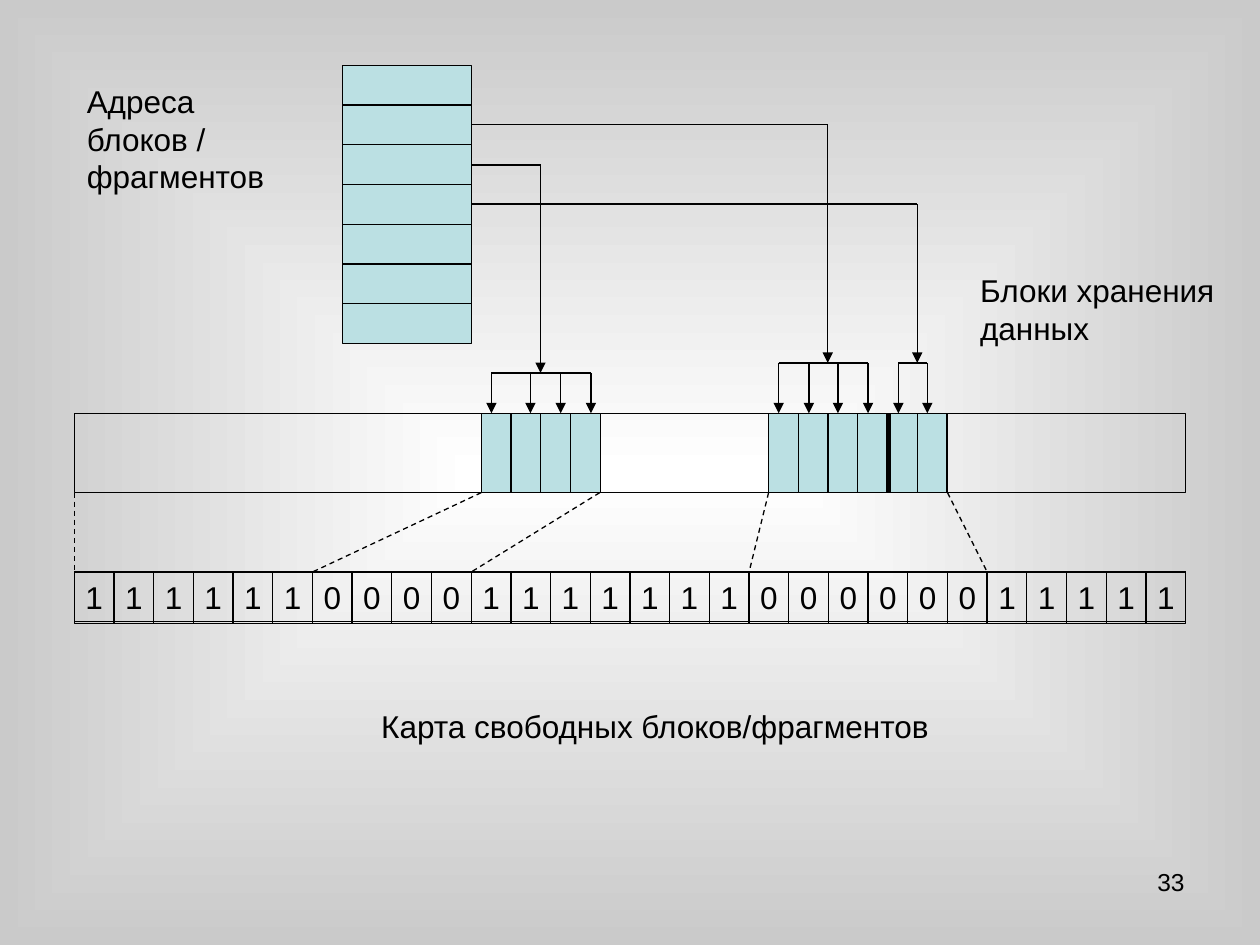
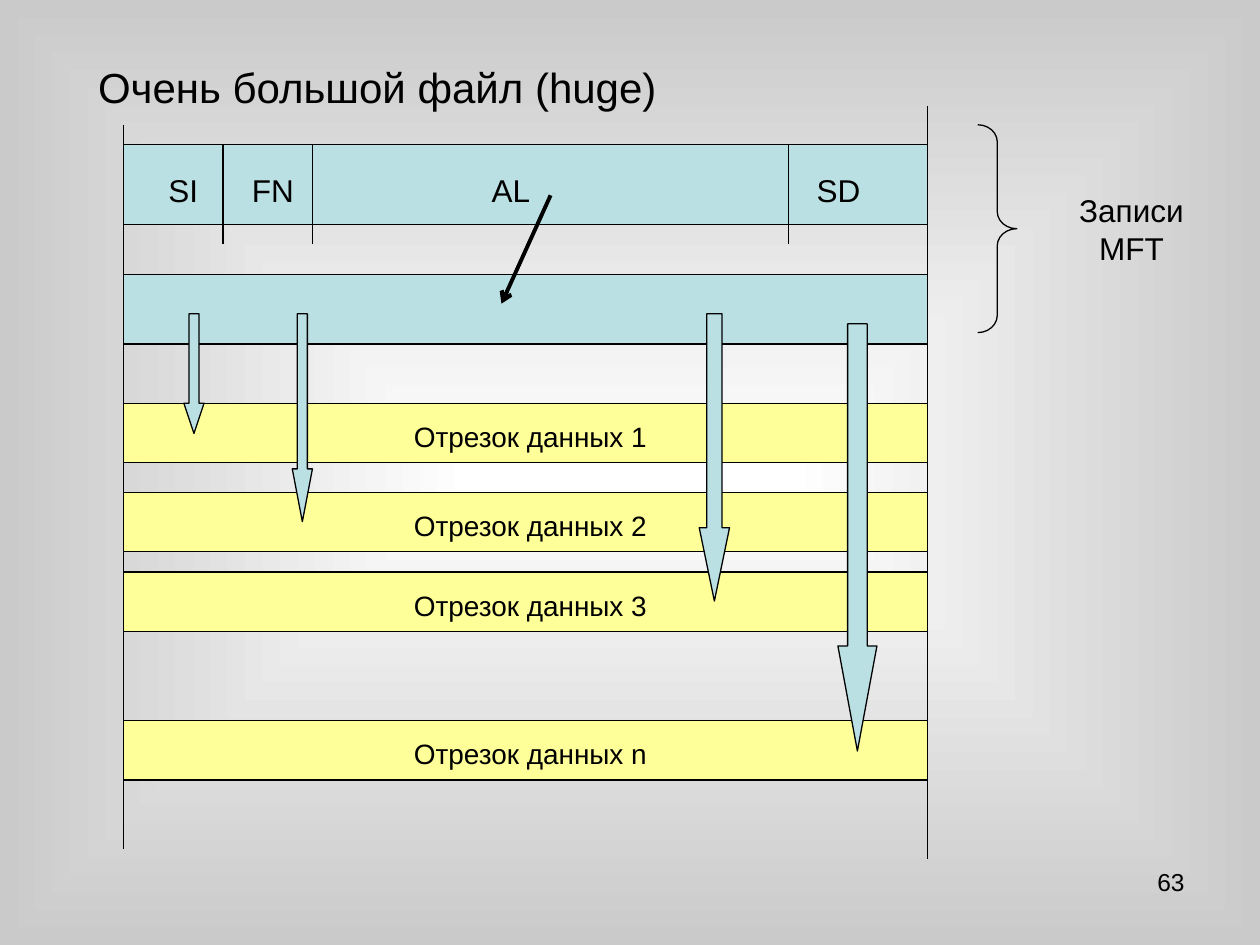
from lxml import etree
from pptx import Presentation
from pptx import util as u
from pptx.dml.color import RGBColor
from pptx.enum import dml, shapes, text
from pptx.oxml.ns import qn

BLACK = RGBColor(0x00, 0x00, 0x00)
WHITE = RGBColor(0xFF, 0xFF, 0xFF)
GREY = RGBColor(0xCA, 0xCA, 0xCA)
AQUA = RGBColor(0xBB, 0xE0, 0xE3)
YELLOW = RGBColor(0xFF, 0xFF, 0x99)
FONT = "Arial"
LEFT, CENTER, RIGHT = text.PP_ALIGN.LEFT, text.PP_ALIGN.CENTER, text.PP_ALIGN.RIGHT
PRESET = shapes.MSO_SHAPE


def inches(*lengths):
    return [u.Inches(length) for length in lengths]


def paint_background(master):
    fill = master.background.fill
    fill.gradient()
    for stop, color in zip(fill.gradient_stops, (WHITE, GREY)):
        stop.color.rgb = color
    gradient = next(master.element.iter(qn("a:gradFill")))
    gradient.remove(gradient.find(qn("a:lin")))
    shade = etree.SubElement(gradient, qn("a:path"), {"path": "shape"})
    etree.SubElement(shade, qn("a:fillToRect"), dict.fromkeys("ltrb", "50000"))


def write(shape, words, size=18, align=LEFT, margin=0.1):
    frame = shape.text_frame
    frame.word_wrap = True
    frame.vertical_anchor = text.MSO_ANCHOR.TOP
    frame.margin_left = frame.margin_right = u.Inches(margin)
    para = frame.paragraphs[0]
    para.alignment = align
    span = para.add_run()
    span.text = words
    span.font.name = FONT
    span.font.size = u.Pt(size)
    span.font.color.rgb = BLACK


def add_label(canvas, words, left, top, width, height, **style):
    write(canvas.add_textbox(*inches(left, top, width, height)), words, **style)


def add_figure(canvas, left, top, width, height, fill=None, preset=PRESET.RECTANGLE, adjust=()):
    figure = canvas.add_shape(preset, *inches(left, top, width, height))
    figure.shadow.inherit = False
    if fill is None:
        figure.fill.background()
    else:
        figure.fill.solid()
        figure.fill.fore_color.rgb = fill
    figure.line.color.rgb = BLACK
    figure.line.width = u.Pt(0.75)
    for index, value in enumerate(adjust):
        figure.adjustments[index] = value
    return figure


def add_line(canvas, x1, y1, x2, y2, weight=0.75, head=None, dashed=False):
    line = canvas.add_connector(shapes.MSO_CONNECTOR.STRAIGHT, *inches(x1, y1, x2, y2))
    line.line.color.rgb = BLACK
    line.line.width = u.Pt(weight)
    if dashed:
        line.line.dash_style = dml.MSO_LINE.DASH
    properties = line.element.spPr
    if head:
        etree.SubElement(properties.find(qn("a:ln")), qn("a:tailEnd"), {"type": head})
    etree.SubElement(properties, qn("a:effectLst"))


def add_page(deck, number):
    page = deck.slides.add_slide(deck.slide_layouts[6])
    add_label(page.shapes, number, 7.17, 6.83, 2.33, 0.52, size=14, align=RIGHT)
    return page.shapes


def add_pointer(canvas, source_y, target_x, fork_y, tips, disk_top):
    add_line(canvas, 3.74, source_y, target_x, source_y)
    add_line(canvas, target_x, source_y, target_x, fork_y, head="triangle")
    add_line(canvas, tips[0], fork_y, tips[-1], fork_y)
    for tip in tips:
        add_line(canvas, tip, fork_y, tip, disk_top, head="triangle")


def draw_free_map(deck):
    canvas = add_page(deck, "33")
    left, width = 0.59, 8.82
    disk_top, disk_height, map_top = 3.28, 0.63, 4.54
    disk_bottom = disk_top + disk_height
    bits = "1" * 6 + "0" * 4 + "1" * 7 + "0" * 6 + "1" * 5
    cell = width / len(bits)
    block = cell * 0.75

    add_label(canvas, "Адреса блоков / фрагментов", left, 0.6, 1.65, 1)
    add_label(canvas, "Блоки хранения данных", 7.68, 2.1, 2.12, 0.7)
    add_label(canvas, "Карта свободных блоков/фрагментов", 1.3, 5.56, 7.8, 0.4, align=CENTER)

    for row in range(7):
        add_figure(canvas, 2.72, 0.52 + row * cell, 1.02, cell, AQUA)
    add_figure(canvas, left, disk_top, width, disk_height)
    for start, count in ((3.82, 4), (6.1, 6)):
        for index in range(count):
            add_figure(canvas, start + index * block, disk_top, block, disk_height, AQUA)
    add_line(canvas, 7.05, disk_top, 7.05, disk_bottom, weight=3)

    add_figure(canvas, left, map_top, width, 0.39)
    for index, bit in enumerate(bits):
        square = add_figure(canvas, left + index * cell, map_top, cell, 0.41)
        write(square, bit, align=CENTER, margin=0)

    for disk_x, bit_index in ((left, 0), (3.82, 6), (4.76, 10), (6.1, 17), (7.52, 23)):
        add_line(canvas, disk_x, disk_bottom, left + bit_index * cell, map_top, dashed=True)

    add_pointer(canvas, 1.31, 4.29, 2.96, (3.9, 4.21, 4.45, 4.69), disk_top)
    add_pointer(canvas, 1.62, 7.28, 2.88, (7.13, 7.36), disk_top)
    add_pointer(canvas, 0.99, 6.57, 2.88, (6.18, 6.42, 6.65, 6.89), disk_top)


def draw_huge_file(deck):
    canvas = add_page(deck, "63")
    left, width = 0.98, 6.38
    right = left + width
    add_label(canvas, "Очень большой файл (huge)", 0.68, 0.44, 8.42, 0.5, size=24)

    add_figure(canvas, left, 1.15, width, 0.63, AQUA)
    for name, x in (("SI", 1.06), ("FN", 1.77), ("AL", 3.66), ("SD", 6.26)):
        add_label(canvas, name, x, 1.31, 0.79, 0.4, align=CENTER)
    for x in (1.77, 2.48, 6.26):
        add_line(canvas, x, 1.15, x, 1.94)
    add_line(canvas, left, 0.99, left, 6.74)
    add_line(canvas, right, 0.84, right, 6.82)

    add_figure(canvas, left, 2.18, width, 0.55, AQUA)
    add_figure(canvas, 7.76, 0.99, 0.31, 1.65, preset=PRESET.RIGHT_BRACE, adjust=(0.44, 0.5))
    add_label(canvas, "Записи MFT", 8.39, 1.47, 1.18, 0.7, align=CENTER)

    for name, top in (("1", 3.2), ("2", 3.91), ("3", 4.54), ("n", 5.72)):
        extent = canvas.add_group_shape().shapes
        add_figure(extent, left, top, width, 0.47, YELLOW)
        add_label(extent, f"Отрезок данных {name}", 2.95, top + 0.08, 2.52, 0.37,
                  size=16, align=CENTER)

    for x, top, breadth, length, head in (
        (1.46, 2.49, 0.16, 0.95, 1.5),
        (2.32, 2.49, 0.16, 1.65, 2.62),
        (5.55, 2.49, 0.24, 2.28, 2.42),
        (6.65, 2.57, 0.31, 3.39, 2.69),
    ):
        add_figure(canvas, x, top, breadth, length, AQUA, PRESET.DOWN_ARROW, (0.5, head))
    add_line(canvas, 4.37, 1.55, 3.98, 2.41, weight=2.25, head="arrow")


def main():
    deck = Presentation()
    deck.slide_width, deck.slide_height = inches(10, 7.5)
    paint_background(deck.slide_master)
    draw_free_map(deck)
    draw_huge_file(deck)
    deck.save("out.pptx")


if __name__ == "__main__":
    main()
